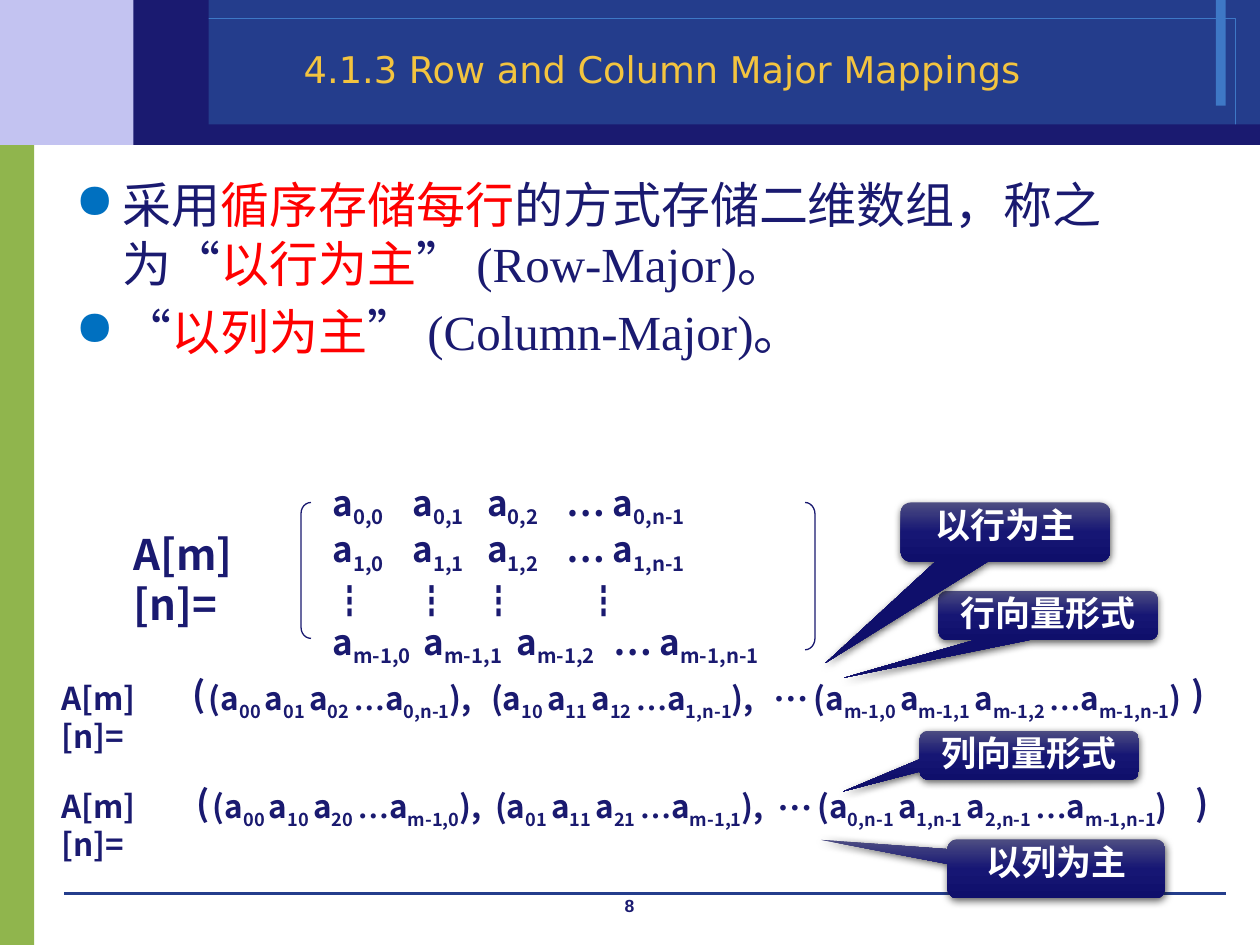
"""Builds the slide on row and column major mappings."""
from lxml.etree import SubElement
from pptx import Presentation
from pptx.dml.color import RGBColor
from pptx.enum.shapes import MSO_CONNECTOR as Connector, MSO_SHAPE as Shape
from pptx.enum.text import MSO_ANCHOR as Anchor, PP_ALIGN as Align
from pptx.oxml import parse_xml
from pptx.oxml.ns import nsdecls, qn
from pptx.util import Cm, Pt

NAVY, BLUE, LIGHT_BLUE, RED, WHITE = "1A1A70", "243D8C", "3E78C6", "FF0000", "FFFFFF"
SANS, SERIF = "Noto Sans CJK SC", "Times New Roman"


def colour(value):
    return RGBColor.from_string(value)


def write(paragraph, markup, size, name=SANS, ink=NAVY, bold=True, **layout):
    """Splits markup at bars; a leading _ is a subscript, a leading * is red."""
    for key, value in layout.items():
        setattr(paragraph, key, value)
    for piece in markup.split("|"):
        run = paragraph.add_run()
        run.text = piece.lstrip("_*")
        face = SERIF if piece == "…" else name
        for key, value in {"size": Pt(size), "name": face, "bold": bold}.items():
            setattr(run.font, key, value)
        run.font.color.rgb = colour(RED if piece[0] == "*" else ink)
        properties = run._r.get_or_add_rPr()
        SubElement(properties, qn("a:ea"), typeface=SANS)
        if piece[0] == "_":
            properties.set("baseline", "-25000")


presentation = Presentation()
presentation.slide_width, presentation.slide_height = Cm(25.4), Cm(19.05)
slide = presentation.slides.add_slide(presentation.slide_layouts[6])
shapes = slide.shapes

bands = [
    (0, 2.72, 0.69, 16.33, "90B54D"),
    (0, 0, 3.89, 2.92, "C3C3F1"),
    (3.89, 0, 21.51, 2.92, BLUE),
    (24.51, 0, 0.2, 2.13, LIGHT_BLUE),
    (3.02, 0.38, 21.89, 2.16, None),
    (3.3, 2.51, 22.1, 0.41, NAVY),
    (2.69, 0, 1.52, 2.92, NAVY),
]
for *box, fill in bands:
    band = shapes.add_shape(Shape.RECTANGLE, *map(Cm, box))
    band.shadow.inherit = False
    if fill:
        band.fill.solid()
        band.fill.fore_color.rgb = colour(fill)
        band.line.fill.background()
    else:
        band.fill.background()
        band.line.color.rgb = colour(LIGHT_BLUE)
        band.line.width = Pt(0)

rule = shapes.add_connector(Connector.STRAIGHT, Cm(1.3), Cm(18.01), Cm(24.71), Cm(18.01))
rule.line.color.rgb = colour(BLUE)
rule.line.width = Pt(0)
SubElement(rule._element.spPr, qn("a:effectLst"))

plain = {"line_spacing": Pt(22)}
subscripted = {"line_spacing": Pt(25)}
outer = {"line_spacing": Pt(24)}
texts = [
    ((9.73, 17.91, 5.92, 0.64), "8", 10, {"name": "Arial", "alignment": Align.CENTER}),
    ((3.02, 0.66, 20.9, 1.57), "4.1.3 Row and Column Major Mappings ", 21,
     {"name": "DejaVu Sans", "ink": "F3C43F", "bold": False,
      "alignment": Align.CENTER, "line_spacing": 0.9}),
    ((2.44, 10.52, 3.81, 2.31), "A[m][n]=", 24, {"line_spacing": Pt(28.8)}),
]
vector_rows = [
    (13.54, 0, ["(a|_00 |a|_01 |a|_02 |…|a|_0,n-1|),",
                "(a|_10 |a|_11 |a|_12 |…|a|_1,n-1|),",
                "(a|_m-1,0 |a|_m-1,1 |a|_m-1,2 |…|a|_m-1,n-1|)"]),
    (15.72, 0.08, ["(a|_00 |a|_10 |a|_20 |…|a|_m-1,0|),",
                   "(a|_01 |a|_11 |a|_21 |…|a|_m-1,1|),",
                   "(a|_0,n-1 |a|_1,n-1 |a|_2,n-1 |…|a|_m-1,n-1|)"]),
]
for top, shift, vectors in vector_rows:
    texts.append(((0.99, top, 3.2, 1.02), "A[m][n]=", 18, plain))
    for left, width, vector in zip((3.96, 9.65, 16.15), (6.5, 6.3, 8.53), vectors):
        texts.append(((left + shift, top, width, 1.02), vector, 18, subscripted))
    texts.append(((15.34 + shift, top - 0.22, 1.22, 1.12), "…", 20, {}))
    for left, bracket in ((3.63, "("), (23.77, ")")):
        texts.append(((left + shift, top - 0.1, 0.84, 1.12), bracket, 20, outer))
for box, markup, size, formats in texts:
    frame = shapes.add_textbox(*map(Cm, box)).text_frame
    frame.word_wrap = True
    frame.vertical_anchor = Anchor.MIDDLE if size == 21 else Anchor.TOP
    write(frame.paragraphs[0], markup, size, **formats)

body = shapes.add_textbox(Cm(1.27), Cm(3.4), Cm(22.86), Cm(14.58)).text_frame
body.word_wrap = True
bullets = [
    "采用|*循序存储每行|的方式存储二维数组，称之为“|*以行为主|” (Row-Major)。",
    "“|*以列为主|” (Column-Major)。",
]
for index, markup in enumerate(bullets):
    paragraph = body.add_paragraph() if index else body.paragraphs[0]
    properties = paragraph._p.get_or_add_pPr()
    properties.set("marL", str(Cm(0.96)))
    properties.set("indent", str(Cm(-0.96)))
    bullet_colour = SubElement(properties, qn("a:buClr"))
    SubElement(bullet_colour, qn("a:srgbClr"), val="0070C0")
    SubElement(properties, qn("a:buChar"), char="●")
    write(paragraph, markup, 28, SERIF, bold=False,
          line_spacing=Pt(33.6), space_before=Pt(5 * index))

brackets = [(Shape.LEFT_BRACKET, 6.07, 2.74, 1.08), (Shape.RIGHT_BRACKET, 16.23, 2.97, 1.17)]
for kind, left, height, curve in brackets:
    bracket = shapes.add_shape(kind, Cm(left), Cm(10.13), Cm(0.2), Cm(height))
    bracket.shadow.inherit = False
    bracket.adjustments[0] = curve
    bracket.fill.background()
    bracket.line.color.rgb = colour(NAVY)
    bracket.line.width = Pt(0.75)

matrix = shapes.add_textbox(Cm(6.45), Cm(9.6), Cm(11.71), Cm(3.68)).text_frame
matrix.word_wrap = True
upper_tabs = (1.62, 3.12, 4.72)
matrix_rows = [
    ("a|_0,0|\ta|_0,1|\ta|_0,2|\t… a|_0,n-1", upper_tabs),
    ("a|_1,0|\ta|_1,1|\ta|_1,2|\t… a|_1,n-1", upper_tabs),
    ("┇\t┇\t┇\t┇", (1.65, 3, 5.13)),
    ("a|_m-1,0|\ta|_m-1,1|\ta|_m-1,2|\t… a|_m-1,n-1", (1.84, 3.71, 5.66)),
]
for index, (markup, tabs) in enumerate(matrix_rows):
    paragraph = matrix.add_paragraph() if index else matrix.paragraphs[0]
    tab_list = SubElement(paragraph._p.get_or_add_pPr(), qn("a:tabLst"))
    for position in tabs:
        SubElement(tab_list, qn("a:tab"), pos=str(Cm(position)), algn="l")
    write(paragraph, markup, 20, line_spacing=Pt(26.5))

stops = "".join(
    f'<a:gs pos="{position}"><a:srgbClr val="{value}"/></a:gs>'
    for position, value in ((0, "4D4D82"), (50000, "161674"), (100000, "0F0F6B")))
callouts = [
    ((18.92, 11.91, 4.42, 0.99), (-0.93, 1.27), "行向量形式"),
    ((18.54, 14.73, 4.42, 0.99), (-0.85, 0.74), "列向量形式"),
    ((18.16, 10.13, 4.22, 1.19), (-0.86, 2.22), "以行为主"),
    ((19.1, 16.92, 4.39, 1.19), (-1.08, -0.49), "以列为主"),
]
for box, (tip_x, tip_y), label in callouts:
    callout = shapes.add_shape(Shape.ROUNDED_RECTANGULAR_CALLOUT, *map(Cm, box))
    for index, value in enumerate((tip_x, tip_y, 0.17)):
        callout.adjustments[index] = value
    callout.line.fill.background()
    callout.shadow.inherit = False
    properties = callout._element.spPr
    properties.insert(2, parse_xml(
        f'<a:gradFill {nsdecls("a")} rotWithShape="1"><a:gsLst>{stops}</a:gsLst>'
        '<a:lin ang="5400000" scaled="0"/></a:gradFill>'))
    properties.find(qn("a:effectLst")).append(parse_xml(
        f'<a:outerShdw {nsdecls("a")} blurRad="{Pt(4.5)}" dist="{Pt(1.5)}" dir="5400000" '
        'rotWithShape="0"><a:srgbClr val="000000"><a:alpha val="63000"/></a:srgbClr>'
        '</a:outerShdw>'))
    callout.text_frame.word_wrap = True
    callout.text_frame.vertical_anchor = Anchor.TOP
    write(callout.text_frame.paragraphs[0], label, 20, "Karla", WHITE,
          alignment=Align.CENTER, line_spacing=0.8)

presentation.save("out.pptx")
